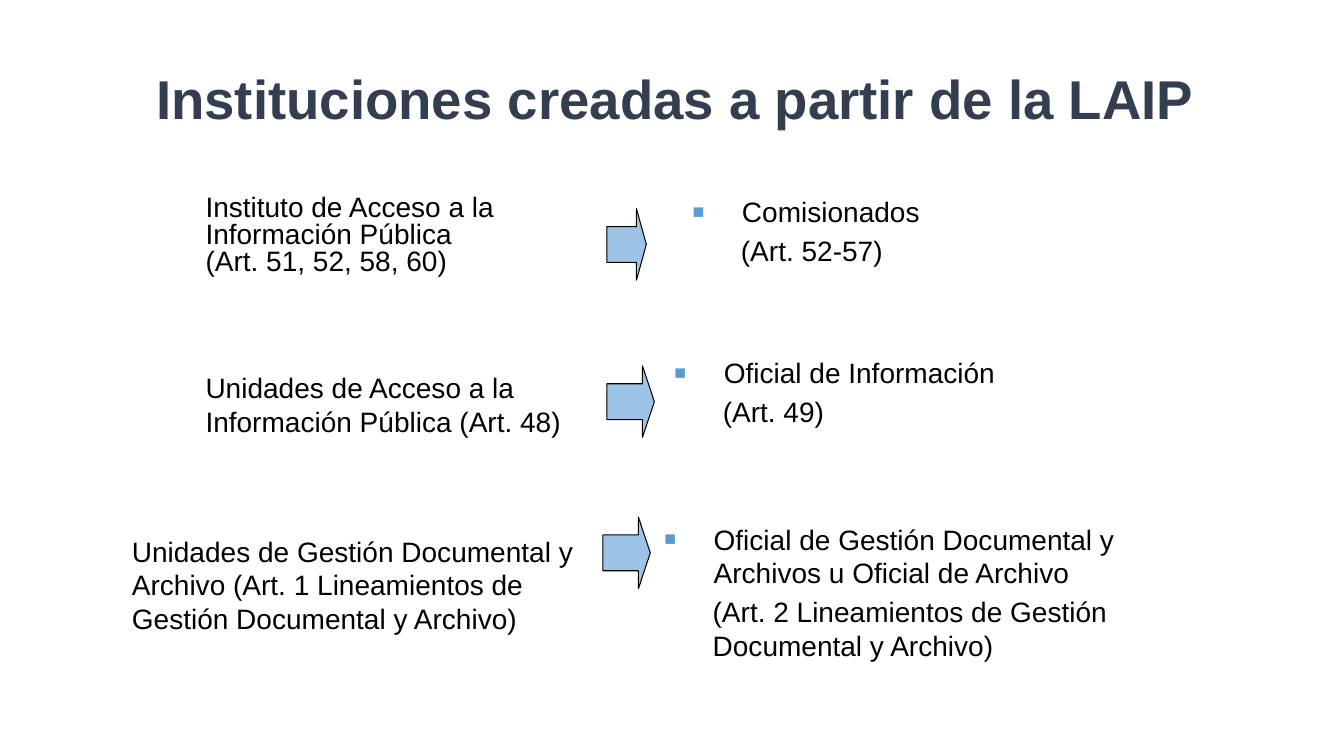
import pptx
import pptx.dml.color
import pptx.enum.shapes
import pptx.enum.text
import pptx.oxml.ns
import pptx.util
from lxml import etree

Inches = pptx.util.Inches
Pt = pptx.util.Pt
RGBColor = pptx.dml.color.RGBColor
BLACK = RGBColor(0x00, 0x00, 0x00)
NAVY = RGBColor(0x33, 0x3F, 0x50)
BLUE = RGBColor(0x5B, 0x9B, 0xD5)
LIGHT_BLUE = RGBColor(0x9D, 0xC3, 0xE6)


def write(p, text, size=20, color=BLACK, bold=False, align=None,
          before=4, spacing=None, margin=0, indent=0, bullet=None):
    p.text = text
    p.alignment = align
    p.space_before = Pt(before)
    p.line_spacing = spacing
    font = p.runs[0].font
    for r in p.runs:
        font = r.font
        font.name, font.size, font.bold = "Arial", Pt(size), bold
        font.color.rgb = color
    pPr = p._p.get_or_add_pPr()
    pPr.set("marL", str(Inches(margin)))
    pPr.set("indent", str(Inches(indent)))
    if bullet:
        qn = pptx.oxml.ns.qn
        clr = etree.SubElement(pPr, qn("a:buClr"))
        etree.SubElement(clr, qn("a:srgbClr"), val=str(BLUE))
        etree.SubElement(pPr, qn("a:buSzPct"), val="70000")
        etree.SubElement(pPr, qn("a:buFont"), typeface="Arial")
        etree.SubElement(pPr, qn("a:buChar"), char=bullet)


class Deck:
    """Builds text, bulleted roles and arrows on one slide."""

    def __init__(self):
        self.prs = pptx.Presentation()
        self.prs.slide_width = Inches(13.33)
        self.prs.slide_height = Inches(7.5)
        self.s = self.prs.slides.add_slide(self.prs.slide_layouts[6])

    def frame(self, box, anchor=pptx.enum.text.MSO_ANCHOR.TOP):
        tf = self.s.shapes.add_textbox(*map(Inches, box)).text_frame
        tf.word_wrap = True
        tf.vertical_anchor = anchor
        return tf

    def title(self, text, box):
        tf = self.frame(box, pptx.enum.text.MSO_ANCHOR.MIDDLE)
        write(tf.paragraphs[0], text, size=39, color=NAVY, bold=True, before=0,
              align=pptx.enum.text.PP_ALIGN.CENTER)

    def institution(self, text, box, **fmt):
        write(self.frame(box).paragraphs[0], text, **fmt)

    def role(self, name, article, box):
        tf = self.frame(box)
        write(tf.paragraphs[0], name, margin=0.49, indent=-0.49, bullet="■")
        p = tf.add_paragraph()
        p.level = 1
        write(p, article, margin=0.48)

    def arrow(self, left, top, width):
        sp = self.s.shapes.add_shape(
            pptx.enum.shapes.MSO_SHAPE.RIGHT_ARROW,
            Inches(left), Inches(top), Inches(width), Inches(0.71))
        sp.adjustments[0] = 0.5
        sp.adjustments[1] = 0.25
        sp.shadow.inherit = False
        sp.fill.solid()
        sp.fill.fore_color.rgb = LIGHT_BLUE
        sp.line.color.rgb = BLACK
        sp.line.width = Pt(0.75)


def main():
    rows = [
        ("Instituto de Acceso a la Información Pública\v(Art. 51, 52, 58, 60)",
         (1.94, 1.9, 3.86, 1.1), dict(before=10, spacing=0.8),
         (6.02, 2.07, 0.39),
         "Comisionados", "(Art. 52-57)", (6.77, 1.88, 3.39, 1.57)),
        ("Unidades de Acceso a la\vInformación Pública (Art. 48)",
         (1.94, 3.63, 5, 0.77), {},
         (6.02, 3.63, 0.47),
         "Oficial de Información", "(Art. 49)", (6.59, 3.48, 4.09, 1.08)),
        ("Unidades de Gestión Documental y Archivo (Art. 1 Lineamientos de "
         "Gestión Documental y Archivo)",
         (1.21, 5.25, 5, 1.11), {},
         (5.98, 5.13, 0.47),
         "Oficial de Gestión Documental y Archivos u Oficial de Archivo",
         "(Art. 2 Lineamientos de Gestión Documental y Archivo)",
         (6.49, 5.13, 4.93, 1.08)),
    ]
    deck = Deck()
    deck.title("Instituciones creadas a partir de la LAIP",
               (0.62, 0.21, 12.15, 1.51))
    for text, box, fmt, arrow, name, article, role_box in rows:
        deck.institution(text, box, **fmt)
        deck.arrow(*arrow)
        deck.role(name, article, role_box)
    deck.prs.save("out.pptx")


if __name__ == "__main__":
    main()
